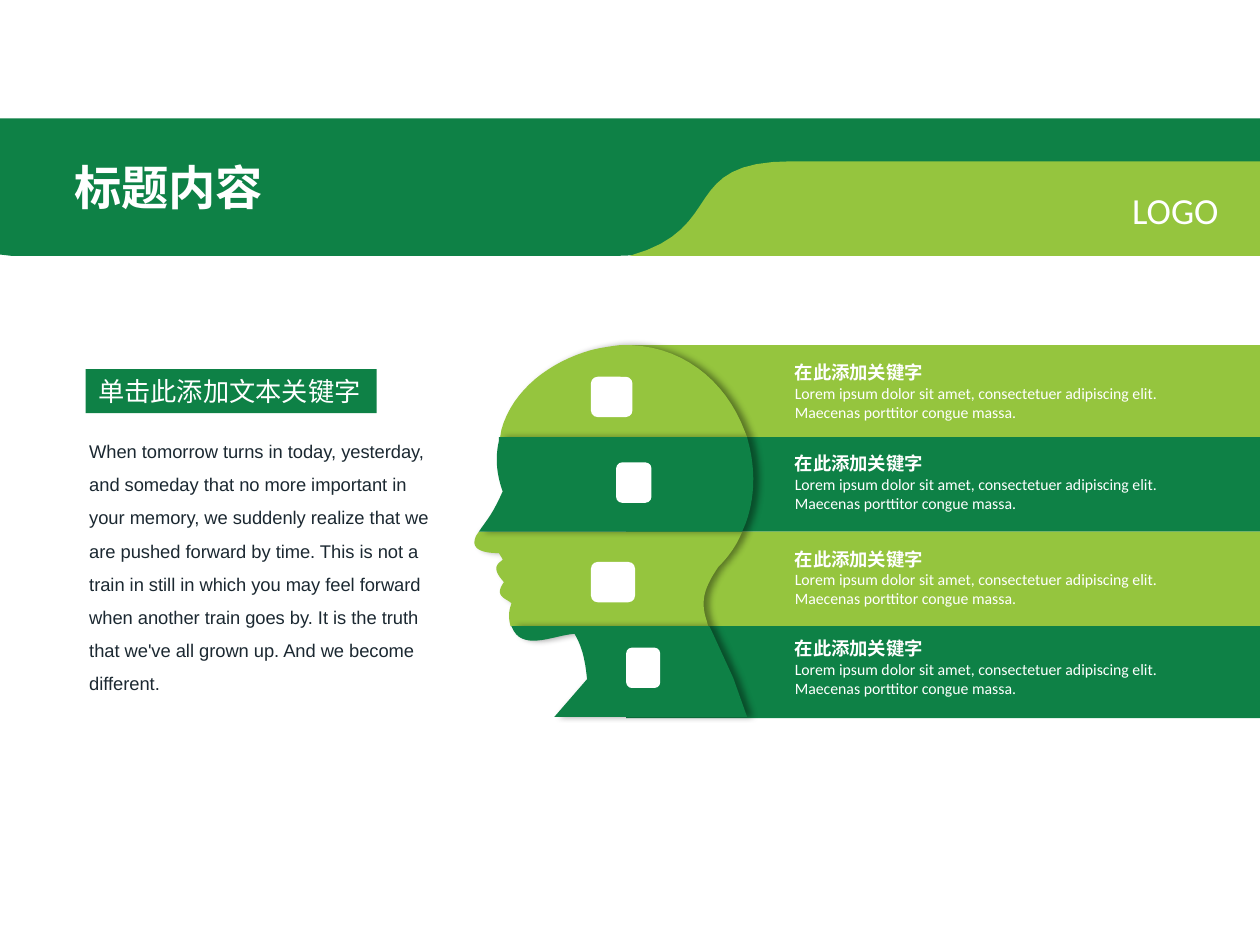
from lxml import etree
from pptx import Presentation
from pptx.dml.color import RGBColor
from pptx.enum.shapes import MSO_SHAPE
from pptx.enum.text import MSO_ANCHOR, MSO_AUTO_SIZE, PP_ALIGN
from pptx.oxml.ns import qn
from pptx.util import Inches, Pt

RECT, BADGE = MSO_SHAPE.RECTANGLE, MSO_SHAPE.ROUNDED_RECTANGLE
LEFT, RIGHT = PP_ALIGN.LEFT, PP_ALIGN.RIGHT
TOP, GROW = MSO_ANCHOR.TOP, MSO_AUTO_SIZE.SHAPE_TO_FIT_TEXT

COLORS = {"green": "0E8146", "lime": "95C53E", "white": "FFFFFF", "ink": "1B2831", "shadow": "000000"}
WIDTH, HEIGHT = 10, 7.5
BAND_LEFT = 4.97
BAND_EDGES = [2.74, 3.47, 4.22, 4.97, 5.7]
BAND_COLORS = ["lime", "green", "lime", "green"]
LABEL_LEFT, LABEL_WIDTH, LABEL_HEIGHT = 6.21, 3.35, 0.58
CURVE_STEPS = 16

TITLE, BRAND, HEADING = "标题内容", "LOGO", "单击此添加文本关键字"
STORY = (
    "When tomorrow turns in today, yesterday, and someday that no more important in your memory, "
    "we suddenly realize that we are pushed forward by time. This is not a train in still in which "
    "you may feel forward when another train goes by. It is the truth that we've all grown up. "
    "And we become different."
)
KEYWORD = "在此添加关键字"
DETAIL = "Lorem ipsum dolor sit amet, consectetuer adipiscing elit. Maecenas porttitor congue massa."
LABEL_OFFSETS = [0.08, 0.07, 0.08, 0.04]
BADGES = [(4.69, 2.99, 0.33, 0.32), (4.89, 3.67, 0.28, 0.32),
          (4.69, 4.46, 0.35, 0.32), (4.97, 5.14, 0.27, 0.32)]

HEADER_OUTLINES = [
    ("green", [(0, 0.94), (10, 0.94), (10, 1.31), (6.2, 1.31), (6.07, 1.36),
               (5.46, 1.59, 5.77, 2.03, 4.91, 2.03), (0.09, 2.03), (0, 2.02)]),
    ("lime", [(6.29, 1.28), (10, 1.28), (10, 2.03), (5, 2.03),
              (5.79, 1.81, 5.37, 1.28, 6.29, 1.28)]),
]
HEAD_OUTLINES = [
    ("lime", [(4.92, 2.74), (5.4, 2.72, 5.76, 3.02, 5.91, 3.42), (5.93, 3.47), (3.97, 3.47),
              (3.98, 3.41), (4.07, 3.09, 4.37, 2.87, 4.69, 2.78),
              (4.77, 2.76, 4.84, 2.75, 4.92, 2.74)]),
    ("lime", [(3.8, 4.22), (5.89, 4.22), (5.85, 4.32, 5.79, 4.41, 5.7, 4.5),
              (5.6, 4.65, 5.55, 4.76, 5.61, 4.93), (5.62, 4.97), (4.05, 4.97), (4.05, 4.96),
              (4.04, 4.92, 4.03, 4.86, 4.06, 4.79), (4.03, 4.75, 3.91, 4.74, 4, 4.62),
              (3.88, 4.49, 3.97, 4.47, 3.99, 4.44), (3.96, 4.39),
              (3.81, 4.39, 3.73, 4.35, 3.78, 4.25)]),
    ("green", [(3.96, 3.47), (5.93, 3.47), (5.94, 3.51), (5.98, 3.66, 6.01, 3.9, 5.92, 4.15),
               (5.89, 4.22), (3.8, 4.22), (3.85, 4.15), (3.91, 4.07, 3.95, 3.99, 3.99, 3.9),
               (3.94, 3.76, 3.93, 3.63, 3.96, 3.5)]),
    ("green", [(4.06, 4.97), (5.63, 4.97), (5.65, 5.01), (5.82, 5.38), (5.93, 5.69), (4.4, 5.69),
               (4.66, 5.39), (4.65, 5.31, 4.64, 5.16, 4.56, 5.03),
               (4.41, 5.04, 4.17, 5.16, 4.08, 5.01)]),
]


def paint(shape, color):
    shape.shadow.inherit = False
    shape.fill.solid()
    shape.fill.fore_color.rgb = RGBColor.from_string(COLORS[color])
    shape.line.fill.background()
    return shape


def add_block(slide, kind, box, color):
    return paint(slide.shapes.add_shape(kind, *map(Inches, box)), color)


def trace(outline):
    points = [outline[0]]
    for step in outline[1:]:
        if len(step) == 2:
            points.append(step)
            continue
        controls = [points[-1], step[:2], step[2:4], step[4:]]
        for i in range(1, CURVE_STEPS + 1):
            t = i / CURVE_STEPS
            weights = [(1 - t) ** 3, 3 * t * (1 - t) ** 2, 3 * t * t * (1 - t), t ** 3]
            points.append(tuple(sum(w * c[axis] for w, c in zip(weights, controls)) for axis in (0, 1)))
    return [(Inches(x), Inches(y)) for x, y in points]


def add_outline(slide, color, outline):
    points = trace(outline)
    builder = slide.shapes.build_freeform(*points[0])
    builder.add_line_segments(points[1:], close=True)
    return paint(builder.convert_to_shape(), color)


def cast_shadow(shape):
    effects = shape._element.spPr.find(qn("a:effectLst"))
    outer = etree.SubElement(effects, qn("a:outerShdw"), blurRad=str(Pt(4)), dist=str(Pt(3)),
                             dir="0", algn="l", rotWithShape="0")
    tint = etree.SubElement(outer, qn("a:srgbClr"), val=COLORS["shadow"])
    etree.SubElement(tint, qn("a:alpha"), val="40000")


def write(shape, lines, wrap=True, align=LEFT, spacing=None):
    frame = shape.text_frame
    for name, value in {"word_wrap": wrap, "auto_size": GROW, "vertical_anchor": TOP}.items():
        setattr(frame, name, value)
    for i, (text, size, font, color, bold) in enumerate(lines):
        paragraph = frame.add_paragraph() if i else frame.paragraphs[0]
        paragraph.alignment = align
        if spacing:
            paragraph.line_spacing = spacing
        run = paragraph.add_run()
        run.text = text
        for name, value in {"size": Pt(size), "name": font, "bold": bold}.items():
            setattr(run.font, name, value)
        run.font.color.rgb = RGBColor.from_string(COLORS[color])


def add_text(slide, box, lines, **layout):
    write(slide.shapes.add_textbox(*map(Inches, box)), lines, **layout)


def main():
    deck = Presentation()
    deck.slide_width, deck.slide_height = Inches(WIDTH), Inches(HEIGHT)
    slide = deck.slides.add_slide(deck.slide_layouts[6])

    for top, bottom, color in zip(BAND_EDGES, BAND_EDGES[1:], BAND_COLORS):
        add_block(slide, RECT, (BAND_LEFT, top, WIDTH - BAND_LEFT, bottom - top), color)
    for color, outline in HEADER_OUTLINES:
        add_outline(slide, color, outline)
    add_text(slide, (0.49, 1.21, 1.72, 0.56), [(TITLE, 27, "Calibri", "white", True)], wrap=False)
    add_text(slide, (8.72, 1.44, 1.05, 0.45), [(BRAND, 21, "Calibri", "white", False)],
             wrap=False, align=RIGHT)

    for color, outline in HEAD_OUTLINES:
        cast_shadow(add_outline(slide, color, outline))
    for box in BADGES:
        add_block(slide, BADGE, box, "white")

    heading = add_block(slide, RECT, (0.68, 2.93, 2.31, 0.35), "green")
    write(heading, [(HEADING, 15, "Calibri", "white", False)], wrap=False)
    add_text(slide, (0.61, 3.36, 2.99, 2.19), [(STORY, 10.5, "Arial", "ink", False)], spacing=1.5)

    label = [(KEYWORD, 10.5, "Calibri", "white", True), (DETAIL, 9, "Calibri", "white", False)]
    for top, offset in zip(BAND_EDGES, LABEL_OFFSETS):
        add_text(slide, (LABEL_LEFT, top + offset, LABEL_WIDTH, LABEL_HEIGHT), label)

    deck.save("out.pptx")


if __name__ == "__main__":
    main()
